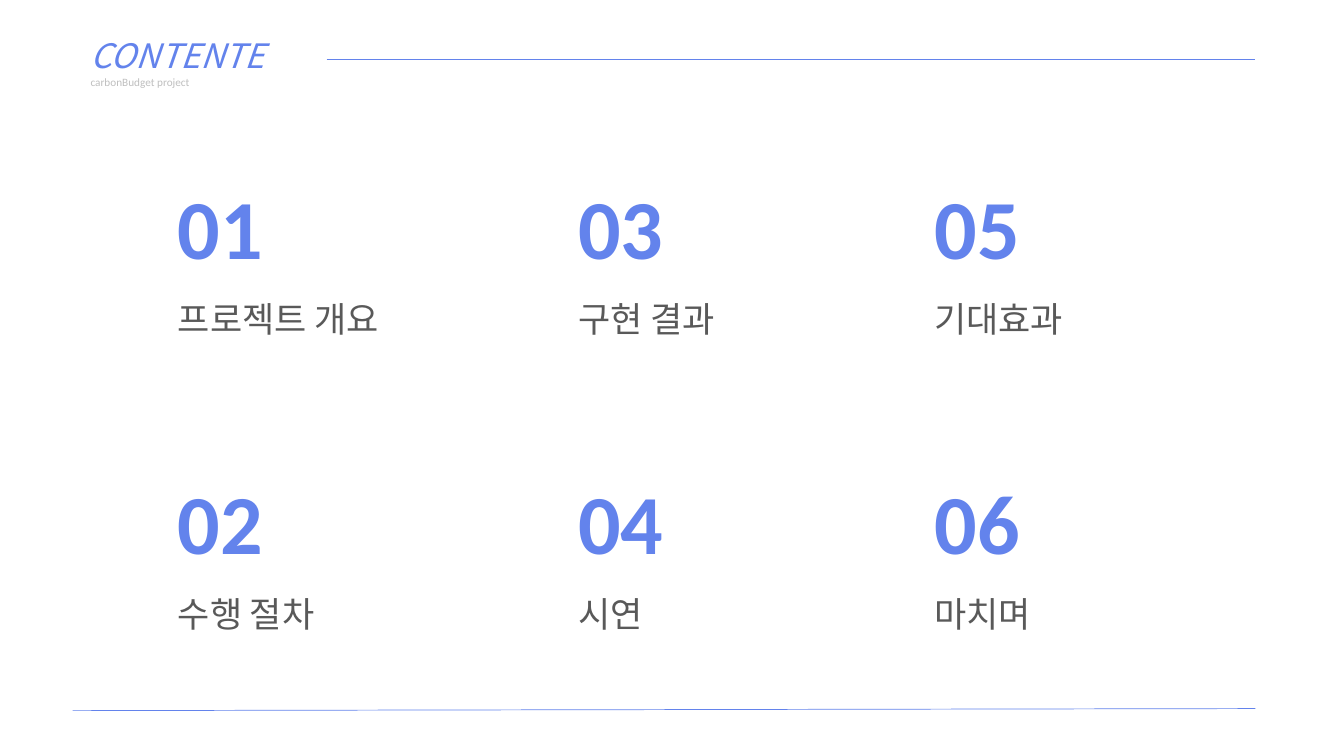
from dataclasses import dataclass

from lxml.etree import SubElement
from pptx import Presentation
from pptx.dml.color import RGBColor as Rgb
from pptx.enum.shapes import MSO_CONNECTOR as Connector
from pptx.enum.text import MSO_AUTO_SIZE as AutoSize
from pptx.oxml.ns import qn
from pptx.slide import Slide
from pptx.text.text import TextFrame
from pptx.util import Inches, Length, Pt

SLIDE_W, SLIDE_H = Inches(13.33), Inches(7.5)


@dataclass(frozen=True)
class TextStyle:
    size: float
    color: Rgb
    font: str
    bold: bool = False
    italic: bool = False
    spacing: float = 1.0


@dataclass(frozen=True)
class Theme:
    blue: Rgb = Rgb.from_string("6383EC")
    east_asian: str = "Noto Sans CJK KR"
    rule_width: float = 0.5
    title: TextStyle = TextStyle(24, blue, east_asian, italic=True)
    subtitle: TextStyle = TextStyle(8, Rgb.from_string("BFBFBF"), "Calibri")
    number: TextStyle = TextStyle(60, blue, "Calibri", bold=True, spacing=1.5)
    label: TextStyle = TextStyle(25, Rgb.from_string("595959"), "Calibri", spacing=1.5)


@dataclass(frozen=True)
class Chapter:
    label: str
    width: float = 15.4


@dataclass(frozen=True)
class Rule:
    """A thin line, with its ends in percent of the slide's size."""
    x1: float
    y1: float
    x2: float
    y2: float


THEME = Theme()

# Column and row positions, in percent of the slide's size
COLUMNS = (12.5, 42.3, 68.8)
ROWS = (15.9, 54.9)
CHAPTER_HEIGHT = 30

# Chapters run down each column in turn
CHAPTERS = (
    Chapter("프로젝트 개요", 18.6), Chapter("수행 절차"),
    Chapter("구현 결과"), Chapter("시연"),
    Chapter("기대효과"), Chapter("마치며", 22.8),
)
RULES = (Rule(24.3, 7.87, 93.4, 7.87), Rule(5.4, 94, 93.4, 93.73))


def across(percent: float) -> Length:
    return Length(round(SLIDE_W * percent / 100))


def down(percent: float) -> Length:
    return Length(round(SLIDE_H * percent / 100))


def add_line(frame: TextFrame, text: str, style: TextStyle, first: bool) -> None:
    paragraph = frame.paragraphs[0] if first else frame.add_paragraph()
    paragraph.line_spacing = style.spacing
    run = paragraph.add_run()
    run.text = text
    font = run.font
    font.size, font.name = Pt(style.size), style.font
    font.bold, font.italic = style.bold, style.italic
    font.color.rgb = style.color
    SubElement(font._element, qn("a:ea"), typeface=THEME.east_asian)


def add_text(slide: Slide, left: float, top: float, width: float, height: float,
             *lines: tuple[str, TextStyle]) -> None:
    box = slide.shapes.add_textbox(across(left), down(top), across(width), down(height))
    frame = box.text_frame
    frame.word_wrap = True
    frame.auto_size = AutoSize.SHAPE_TO_FIT_TEXT
    for index, (text, style) in enumerate(lines):
        add_line(frame, text, style, first=index == 0)


def add_rule(slide: Slide, rule: Rule) -> None:
    line = slide.shapes.add_connector(
        Connector.STRAIGHT, across(rule.x1), down(rule.y1), across(rule.x2), down(rule.y2))
    line.line.color.rgb = THEME.blue
    line.line.width = Pt(THEME.rule_width)
    SubElement(line._element.spPr, qn("a:effectLst"))


def main() -> None:
    deck = Presentation()
    deck.slide_width, deck.slide_height = SLIDE_W, SLIDE_H
    slide = deck.slides.add_slide(deck.slide_layouts[6])

    add_text(slide, 6, 4, 50, 8.5,
             ("CONTENTE", THEME.title), ("carbonBudget project", THEME.subtitle))
    for rule in RULES:
        add_rule(slide, rule)
    for index, chapter in enumerate(CHAPTERS):
        column, row = divmod(index, len(ROWS))
        add_text(slide, COLUMNS[column], ROWS[row], chapter.width, CHAPTER_HEIGHT,
                 (f"{index + 1:02}", THEME.number), (chapter.label, THEME.label))

    deck.save("out.pptx")


if __name__ == "__main__":
    main()
